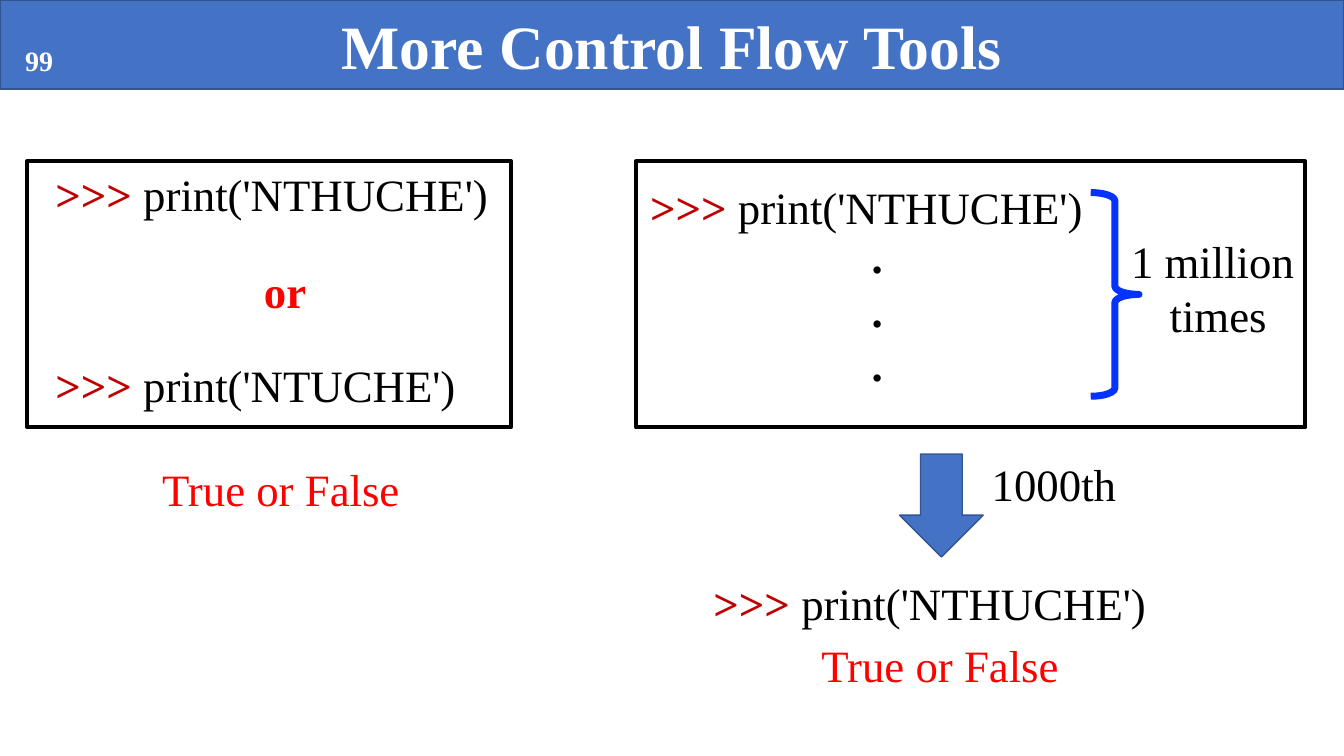
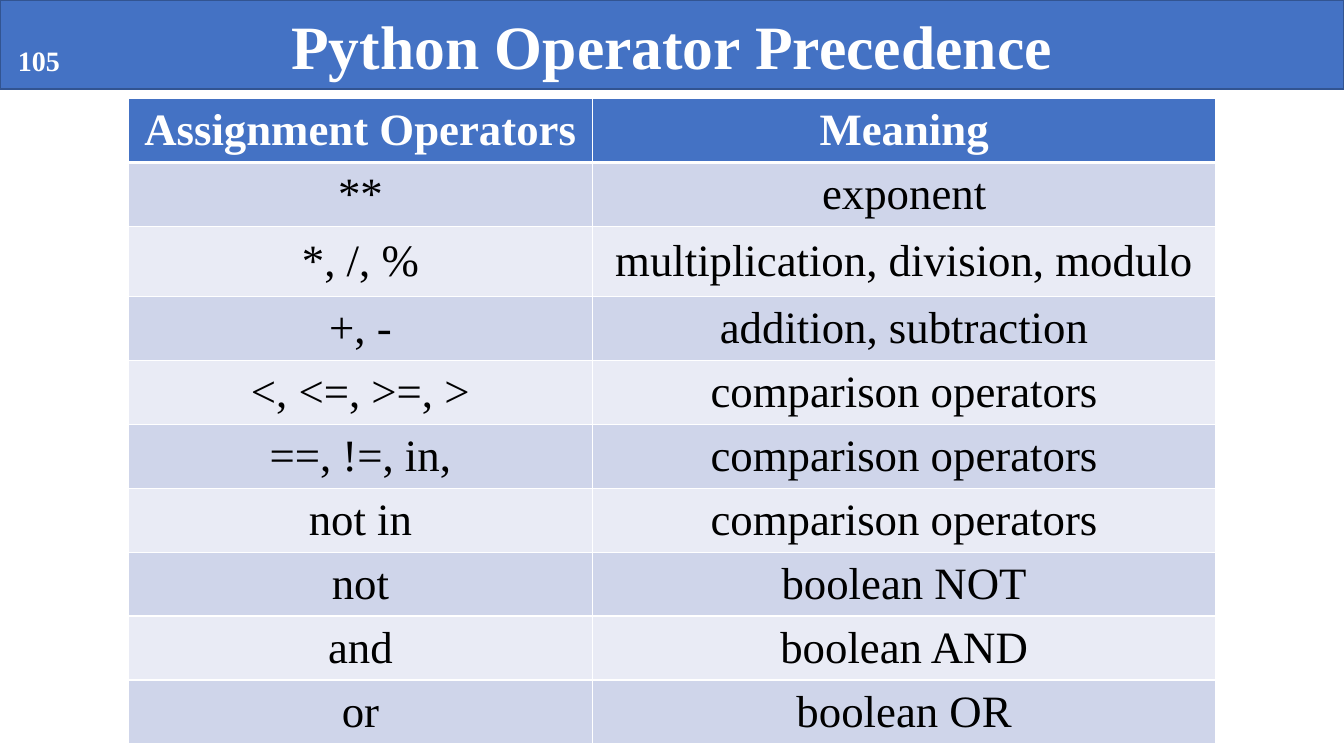
from dataclasses import dataclass

from lxml import etree
from pptx import Presentation
from pptx.dml.color import RGBColor
from pptx.enum.shapes import MSO_SHAPE
from pptx.enum.text import MSO_ANCHOR, PP_ALIGN
from pptx.oxml.ns import qn
from pptx.util import Emu, Inches, Pt

RECTANGLE, BRACE, DOWN_ARROW = MSO_SHAPE.RECTANGLE, MSO_SHAPE.RIGHT_BRACE, MSO_SHAPE.DOWN_ARROW
LEFT, CENTER = PP_ALIGN.LEFT, PP_ALIGN.CENTER
MIDDLE = MSO_ANCHOR.MIDDLE

WIDTH, HEIGHT = Inches(13.333), Inches(7.5)
GRID_COLUMNS, GRID_ROWS = 64, 36
FONT = "Times New Roman"
BODY_SIZE, TITLE_SIZE, NUMBER_SIZE = 32, 44, 20
COLORS = {
    "blue": "4472C4",
    "outline": "325491",
    "white": "FFFFFF",
    "black": "000000",
    "prompt": "C00000",
    "red": "FF0000",
    "brace": "0432FF",
    "dark_row": "CFD5EA",
    "light_row": "E9EBF5",
}


@dataclass(frozen=True)
class Box:
    """A place on the slide, in grid columns and rows."""
    column: float
    row: float
    columns: float
    rows: float = 3.07

    def emu(self) -> tuple:
        return (across(self.column), down(self.row), across(self.columns), down(self.rows))


@dataclass(frozen=True)
class Run:
    text: str
    color: str = "black"
    bold: bool = False
    size: int = BODY_SIZE


@dataclass(frozen=True)
class Label:
    box: Box
    lines: tuple
    align: PP_ALIGN = LEFT


@dataclass(frozen=True)
class Figure:
    kind: MSO_SHAPE
    box: Box
    line: str
    line_width: float
    fill: str = ""


def across(columns: float) -> Emu:
    return Emu(round(WIDTH * columns / GRID_COLUMNS))


def down(rows: float) -> Emu:
    return Emu(round(HEIGHT * rows / GRID_ROWS))


def rgb(name: str) -> RGBColor:
    return RGBColor.from_string(COLORS[name])


def write(frame, lines: tuple, align: PP_ALIGN) -> None:
    """Fill a text frame with one paragraph for each tuple of runs."""
    for index, runs in enumerate(lines):
        paragraph = frame.paragraphs[0] if index == 0 else frame.add_paragraph()
        paragraph.alignment = align
        for part in runs:
            run = paragraph.add_run()
            run.text = part.text
            run.font.name = FONT
            run.font.size = Pt(part.size)
            run.font.bold = part.bold
            run.font.color.rgb = rgb(part.color)


def add_label(slide, label: Label) -> None:
    frame = slide.shapes.add_textbox(*label.box.emu()).text_frame
    frame.word_wrap = False
    write(frame, label.lines, label.align)


def add_figure(slide, figure: Figure):
    shape = slide.shapes.add_shape(figure.kind, *figure.box.emu())
    shape.shadow.inherit = False
    if figure.fill:
        shape.fill.solid()
        shape.fill.fore_color.rgb = rgb(figure.fill)
    else:
        shape.fill.background()
    shape.line.color.rgb = rgb(figure.line)
    shape.line.width = Pt(figure.line_width)
    return shape


def add_titled_slide(deck, title: str, number: str):
    slide = deck.slides.add_slide(deck.slide_layouts[6])
    band = add_figure(slide, Figure(RECTANGLE, Box(0, 0, GRID_COLUMNS, 4.24), "outline", 1, "blue"))
    band.text_frame.vertical_anchor = MIDDLE
    write(band.text_frame, ((Run(title, "white", True, TITLE_SIZE),),), CENTER)
    add_label(slide, Label(Box(0.38, 1.82, 2.96, 2.11),
                           ((Run(number, "white", True, NUMBER_SIZE),),), CENTER))
    return slide


def code_line(column: float, row: float, name: str) -> Label:
    runs = (Run(">>> ", "prompt", True), Run(f"print('{name}')"))
    return Label(Box(column, row, 22.6), (runs,))


def true_or_false(column: float, row: float) -> Label:
    return Label(Box(column, row, 12.38), ((Run("True or False", "red"),),))


def build_control_flow(deck) -> None:
    slide = add_titled_slide(deck, "More Control Flow Tools", "99")
    frame_top, frame_rows = 7.68, 12.67
    for column, columns in ((1.3, 23.04), (30.29, 31.87)):
        add_figure(slide, Figure(RECTANGLE, Box(column, frame_top, columns, frame_rows), "black", 3))
    brace = add_figure(slide, Figure(BRACE, Box(51.94, 9.17, 2.3, 9.7), "brace", 5))
    brace.adjustments[0] = 0.17
    add_figure(slide, Figure(DOWN_ARROW, Box(42.84, 21.62, 3.98, 4.9), "outline", 1, "blue"))

    labels = (
        code_line(2.16, frame_top, "NTHUCHE"),
        Label(Box(12.1, 12.34, 3.02), ((Run("or", "red", True),),)),
        code_line(2.16, 16.8, "NTUCHE"),
        true_or_false(7.25, 21.74),
        code_line(30.48, 8.3, "NTHUCHE"),
        Label(Box(41.04, 10.66, 1.49, 8.26), ((Run(".", bold=True),),) * 3),
        Label(Box(53.33, 10.9, 9.36, 5.66), ((Run("1 million "),), (Run("times"),)), CENTER),
        Label(Box(46.75, 21.5, 6.96), ((Run("1000th"),),)),
        code_line(33.5, 27.17, "NTHUCHE"),
        true_or_false(38.64, 30.14),
    )
    for label in labels:
        add_label(slide, label)


def add_borders(cell, top: float, bottom: float) -> None:
    """Draw white cell borders; must run before the cell is filled."""
    properties = cell._tc.get_or_add_tcPr()
    for side, width in (("L", 1), ("R", 1), ("T", top), ("B", bottom)):
        line = etree.SubElement(properties, qn(f"a:ln{side}"), w=str(Pt(width)))
        fill = etree.SubElement(line, qn("a:solidFill"))
        etree.SubElement(fill, qn("a:srgbClr"), val=COLORS["white"])


def build_precedence(deck) -> None:
    slide = add_titled_slide(deck, "Python Operator Precedence", "105")
    operators = (
        ("Assignment Operators", "Meaning"),
        ("**", "exponent"),
        ("*, /, %", "multiplication, division, modulo"),
        ("+, -", "addition, subtraction"),
        ("<, <=, >=, >", "comparison operators"),
        ("==, !=, in,", "comparison operators"),
        ("not in", "comparison operators"),
        ("not", "boolean NOT"),
        ("and", "boolean AND"),
        ("or", "boolean OR"),
    )
    column_widths = (22.13, 29.66)
    row_height, tall_row, tall_height = 2.85, 2, 3.34
    heights = [tall_height if index == tall_row else row_height for index in range(len(operators))]
    place = Box(6.1, 4.7, sum(column_widths), sum(heights))
    table = slide.shapes.add_table(len(operators), len(column_widths), *place.emu()).table
    for column, width in zip(table.columns, column_widths):
        column.width = across(width)
    for index, (texts, height) in enumerate(zip(operators, heights)):
        table.rows[index].height = down(height)
        header = index == 0
        fill = "blue" if header else ("light_row", "dark_row")[index % 2]
        for cell, text in zip(table.rows[index].cells, texts):
            add_borders(cell, top=3 if index == 1 else 1, bottom=3 if header else 1)
            cell.fill.solid()
            cell.fill.fore_color.rgb = rgb(fill)
            cell.vertical_anchor = MIDDLE
            write(cell.text_frame, ((Run(text, "white" if header else "black", header),),), CENTER)


def main() -> None:
    deck = Presentation()
    deck.slide_width, deck.slide_height = WIDTH, HEIGHT
    build_control_flow(deck)
    build_precedence(deck)
    deck.save("out.pptx")


if __name__ == "__main__":
    main()
